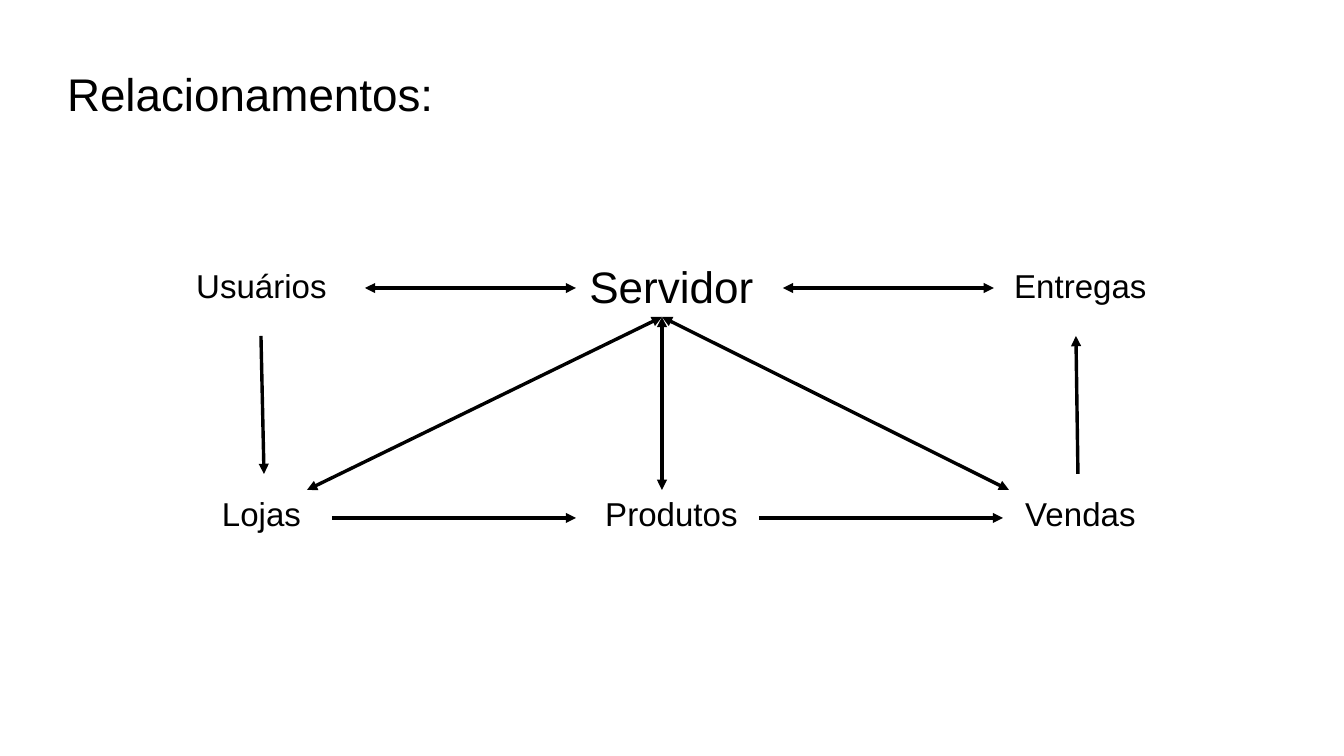
from dataclasses import dataclass

from lxml import etree
from pptx import Presentation
from pptx import util as u
from pptx.dml.color import RGBColor
from pptx.enum import shapes, text
from pptx.oxml.ns import qn

EMU_PER_PX = u.Inches(1) / 122


@dataclass(frozen=True)
class Theme:
    font: str = "Arial"
    ink: RGBColor = RGBColor(0, 0, 0)
    title_size: float = 27
    hub_size: float = 26
    entity_size: float = 19.5


@dataclass(frozen=True)
class Entity:
    name: str
    col: int
    row: int
    size: float


@dataclass(frozen=True)
class Relation:
    start: tuple[int, int]
    end: tuple[int, int]
    two_way: bool = False


THEME = Theme()
COLUMNS = (67, 477, 886)
ROWS = (181, 409)
CELL_W, CELL_H = 389, 209
HUB = (662, 317)

ENTITIES = [
    Entity("Usuários", 0, 0, THEME.entity_size),
    Entity("Servidor", 1, 0, THEME.hub_size),
    Entity("Entregas", 2, 0, THEME.entity_size),
    Entity("Lojas", 0, 1, THEME.entity_size),
    Entity("Produtos", 1, 1, THEME.entity_size),
    Entity("Vendas", 2, 1, THEME.entity_size),
]

RELATIONS = [
    Relation((261, 336), (264, 474)),
    Relation((332, 518), (576, 518)),
    Relation((759, 518), (1003, 518)),
    Relation((1078, 474), (1076, 336)),
    Relation((365, 288), (576, 288), two_way=True),
    Relation((783, 288), (994, 288), two_way=True),
    Relation((307, 490), HUB, two_way=True),
    Relation((1009, 490), HUB, two_way=True),
    Relation(HUB, (662, 490), two_way=True),
]


def px(n: int) -> u.Emu:
    return u.Emu(round(n * EMU_PER_PX))


def add_text(s, content: str, *, x: int, y: int, w: int, h: int, size: float,
             align=text.PP_ALIGN.CENTER) -> None:
    tf = s.shapes.add_textbox(px(x), px(y), px(w), px(h)).text_frame
    tf.word_wrap = True
    tf.vertical_anchor = text.MSO_ANCHOR.MIDDLE
    tf.margin_left = tf.margin_right = tf.margin_top = tf.margin_bottom = 0
    p = tf.paragraphs[0]
    p.alignment = align
    r = p.add_run()
    r.text = content
    r.font.name = THEME.font
    r.font.size = u.Pt(size)
    r.font.color.rgb = THEME.ink


def add_relation(s, rel: Relation) -> None:
    """Draw a hairline arrow, with a second head when it is two-way."""
    line = s.shapes.add_connector(shapes.MSO_CONNECTOR.STRAIGHT,
                                  *map(px, rel.start + rel.end))
    line.line.color.rgb = THEME.ink
    line.line.width = 0
    sp_pr = line.element.spPr
    ends = ("a:headEnd", "a:tailEnd") if rel.two_way else ("a:tailEnd",)
    for end in ends:
        etree.SubElement(sp_pr.find(qn("a:ln")), qn(end), type="triangle")
    etree.SubElement(sp_pr, qn("a:effectLst"))


def main() -> None:
    prs = Presentation()
    prs.slide_width, prs.slide_height = px(1344), px(756)
    s = prs.slides.add_slide(prs.slide_layouts[6])
    add_text(s, "Relacionamentos:", x=COLUMNS[0], y=57, w=960, h=72,
             size=THEME.title_size, align=text.PP_ALIGN.LEFT)
    for e in ENTITIES:
        add_text(s, e.name, x=COLUMNS[e.col], y=ROWS[e.row],
                 w=CELL_W, h=CELL_H, size=e.size)
    for rel in RELATIONS:
        add_relation(s, rel)
    prs.save("out.pptx")


if __name__ == "__main__":
    main()
